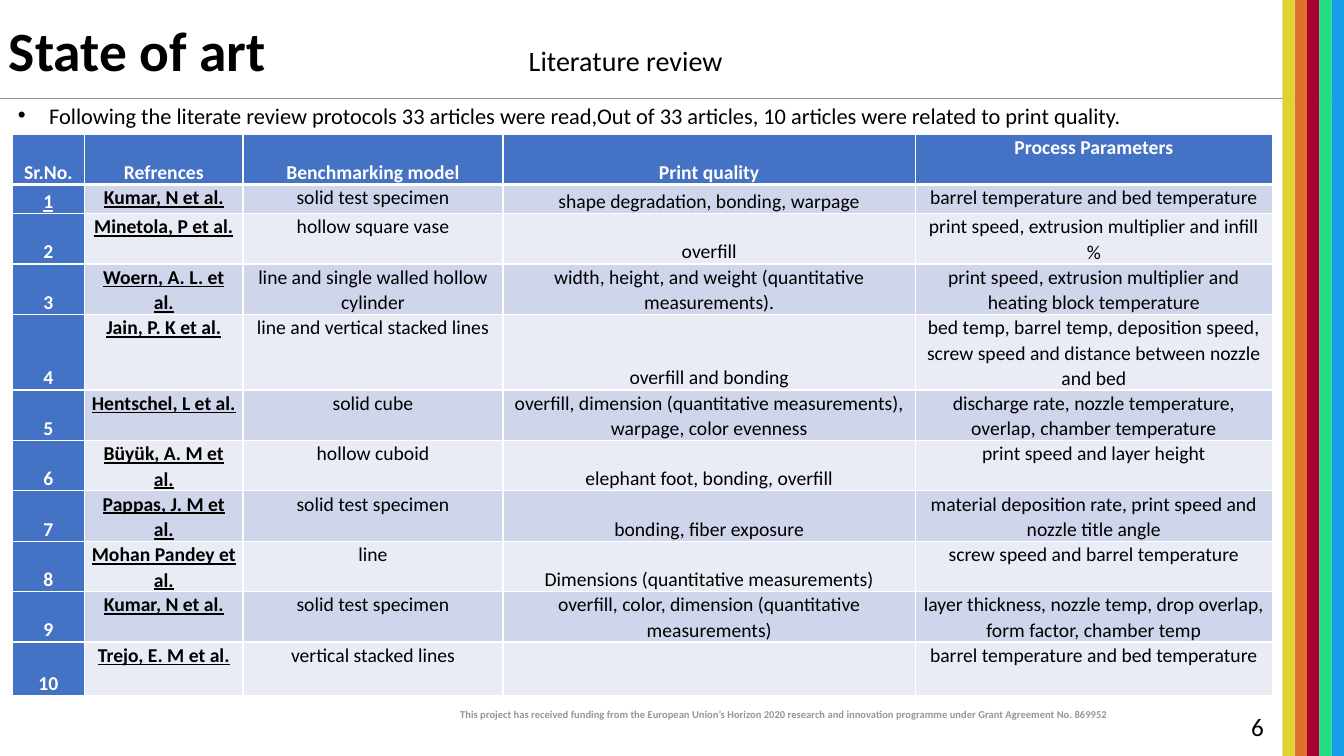
from lxml.etree import SubElement
from pptx import Presentation
from pptx.dml.color import RGBColor
from pptx.enum.shapes import MSO_CONNECTOR, MSO_SHAPE
from pptx.enum.text import MSO_ANCHOR, PP_ALIGN
from pptx.oxml.ns import qn
from pptx.util import Inches, Pt

BLACK = RGBColor(0x00, 0x00, 0x00)
WHITE = RGBColor(0xFF, 0xFF, 0xFF)
GREY = RGBColor(0x96, 0x96, 0x96)
BLUE = RGBColor(0x44, 0x72, 0xC4)
BANDS = (RGBColor(0xCF, 0xD5, 0xEA), RGBColor(0xE9, 0xEB, 0xF5))
STRIPES = (
    RGBColor(0xDD, 0xD3, 0x34),
    RGBColor(0xDD, 0x72, 0x2A),
    RGBColor(0xA9, 0x02, 0x30),
    RGBColor(0x21, 0xDE, 0x80),
    RGBColor(0x18, 0x9D, 0xE8),
)
FONT = "Calibri"
WIDTH, HEIGHT = 13.33, 7.5
STRIPES_LEFT = 12.72
RULE_TOP = 0.98

TITLE = "State of art"
SUBTITLE = "Literature review"
SUMMARY = (
    "Following the literate review protocols 33 articles were read,"
    "Out of 33 articles, 10 articles were related to print quality."
)
FUNDING = (
    "This project has received funding from the European Union’s Horizon 2020 "
    "research and innovation programme under Grant Agreement No. 869952"
)
PAGE_NUMBER = "6"

HEADINGS = ("Sr.No.", "Refrences", "Benchmarking model", "Print quality", "Process Parameters")
ARTICLES = [
    ("Kumar, N et al.", "solid test specimen", "shape degradation, bonding, warpage",
     "barrel temperature and bed temperature"),
    ("Minetola, P et al.", "hollow square vase", "overfill",
     "print speed, extrusion multiplier and infill %"),
    ("Woern, A. L. et al.", "line and single walled hollow cylinder",
     "width, height, and weight (quantitative measurements).",
     "print speed, extrusion multiplier and heating block temperature"),
    ("Jain, P. K et al.", "line and vertical stacked lines", "overfill and bonding",
     "bed temp, barrel temp, deposition speed, screw speed and distance between nozzle and bed"),
    ("Hentschel, L et al.", "solid cube",
     "overfill, dimension (quantitative measurements), warpage, color evenness",
     "discharge rate, nozzle temperature, overlap, chamber temperature"),
    ("Büyük, A. M et al.", "hollow cuboid", "elephant foot, bonding, overfill",
     "print speed and layer height"),
    ("Pappas, J. M et al.", "solid test specimen", "bonding, fiber exposure",
     "material deposition rate, print speed and nozzle title angle"),
    ("Mohan Pandey et al.", "line", "Dimensions (quantitative measurements)",
     "screw speed and barrel temperature"),
    ("Kumar, N et al.", "solid test specimen",
     "overfill, color, dimension (quantitative measurements)",
     "layer thickness, nozzle temp, drop overlap, form factor, chamber temp"),
    ("Trejo, E. M et al.", "vertical stacked lines", "",
     "barrel temperature and bed temperature"),
]
COLUMN_WIDTHS = (0.72, 1.57, 2.58, 4.09, 3.54)
ROW_HEIGHTS = (0.5, 0.29, 0.5, 0.5, 0.75, 0.5, 0.5, 0.5, 0.5, 0.5, 0.53)
NUMBER, REFERENCE, MODEL, QUALITY, PARAMETERS = range(5)


def write(para, text, size, color=BLACK, bold=False, underline=False):
    span = para.add_run()
    span.text = text
    span.font.name = FONT
    span.font.size = Pt(size)
    span.font.color.rgb = color
    span.font.bold = bold
    span.font.underline = underline


def add_text(page, place, text, size, color=BLACK, bold=False,
             align=PP_ALIGN.LEFT, anchor=MSO_ANCHOR.TOP, wrap=True):
    box = page.shapes.add_textbox(*map(Inches, place))
    box.text_frame.word_wrap = wrap
    box.text_frame.vertical_anchor = anchor
    para = box.text_frame.paragraphs[0]
    para.alignment = align
    write(para, text, size, color, bold)
    return para


def add_bullet(para, indent):
    properties = para._p.get_or_add_pPr()
    properties.set("marL", str(Inches(indent)))
    properties.set("indent", str(-Inches(indent)))
    SubElement(properties, qn("a:buFont"), typeface="Arial")
    SubElement(properties, qn("a:buChar"), char="•")


def add_borders(cell, top, bottom):
    properties = cell._tc.get_or_add_tcPr()
    for position, (side, points) in enumerate(
            (("lnL", 1), ("lnR", 1), ("lnT", top), ("lnB", bottom))):
        border = SubElement(properties, qn(f"a:{side}"), w=str(Pt(points)))
        fill = SubElement(border, qn("a:solidFill"))
        SubElement(fill, qn("a:srgbClr"), val=str(WHITE))
        properties.insert(position, border)


def fill_cell(cell, text, row, column):
    heading = row == 0
    blue = heading or column == NUMBER
    bottom = column in (NUMBER, QUALITY) or (heading and column != PARAMETERS)
    cell.fill.solid()
    cell.fill.fore_color.rgb = BLUE if blue else BANDS[(row - 1) % 2]
    add_borders(cell, 3 if row == 1 else 1, 3 if heading else 1)
    cell.margin_left = cell.margin_right = Inches(0.07)
    cell.margin_top = cell.margin_bottom = 0
    cell.vertical_anchor = MSO_ANCHOR.BOTTOM if bottom else MSO_ANCHOR.TOP
    if not text:
        return
    para = cell.text_frame.paragraphs[0]
    para.alignment = PP_ALIGN.CENTER
    para.line_spacing = 1.07
    para.space_after = Pt(8)
    underline = not heading and (column == REFERENCE or (row, column) == (1, NUMBER))
    write(para, text, 14, WHITE if blue else BLACK, blue or column == REFERENCE, underline)


def add_articles(page):
    rows = [HEADINGS] + [(str(n), *article) for n, article in enumerate(ARTICLES, 1)]
    frame = page.shapes.add_table(
        len(rows), len(HEADINGS), Inches(0.12), Inches(1.33),
        Inches(sum(COLUMN_WIDTHS)), Inches(sum(ROW_HEIGHTS)))
    table = frame.table
    for column, width in zip(table.columns, COLUMN_WIDTHS):
        column.width = Inches(width)
    for row, height in zip(table.rows, ROW_HEIGHTS):
        row.height = Inches(height)
    for r, texts in enumerate(rows):
        for c, text in enumerate(texts):
            fill_cell(table.cell(r, c), text, r, c)


def add_frame(page):
    rule = page.shapes.add_connector(
        MSO_CONNECTOR.STRAIGHT, 0, Inches(RULE_TOP), Inches(WIDTH), Inches(RULE_TOP))
    rule.line.color.rgb = GREY
    rule.line.width = Pt(0.5)
    SubElement(rule._element.spPr, qn("a:effectLst"))
    stripe_width = (WIDTH - STRIPES_LEFT) / len(STRIPES)
    for i, color in enumerate(STRIPES):
        stripe = page.shapes.add_shape(
            MSO_SHAPE.RECTANGLE, Inches(STRIPES_LEFT + i * stripe_width), 0,
            Inches(stripe_width), Inches(HEIGHT))
        stripe.shadow.inherit = False
        stripe.fill.solid()
        stripe.fill.fore_color.rgb = color
        stripe.line.fill.background()


def main():
    deck = Presentation()
    deck.slide_width, deck.slide_height = Inches(WIDTH), Inches(HEIGHT)
    page = deck.slides.add_slide(deck.slide_layouts[6])
    add_frame(page)
    add_text(page, (3.88, 6.97, 7.2, 0.35), FUNDING, 7.5, GREY, True, PP_ALIGN.RIGHT)
    title = add_text(page, (-0.01, 0.16, 9.59, 0.75), TITLE, 39.6, bold=True,
                     anchor=MSO_ANCHOR.MIDDLE)
    title.line_spacing = 0.9
    add_text(page, (3.2, 0.38, 6.01, 0.44), SUBTITLE, 20, align=PP_ALIGN.CENTER)
    summary = add_text(page, (0.08, 0.96, 12.32, 0.37), SUMMARY, 16)
    add_bullet(summary, 0.31)
    add_articles(page)
    add_text(page, (12.31, 7.01, 0.3, 0.4), PAGE_NUMBER, 18, wrap=False)
    deck.save("out.pptx")


if __name__ == "__main__":
    main()
